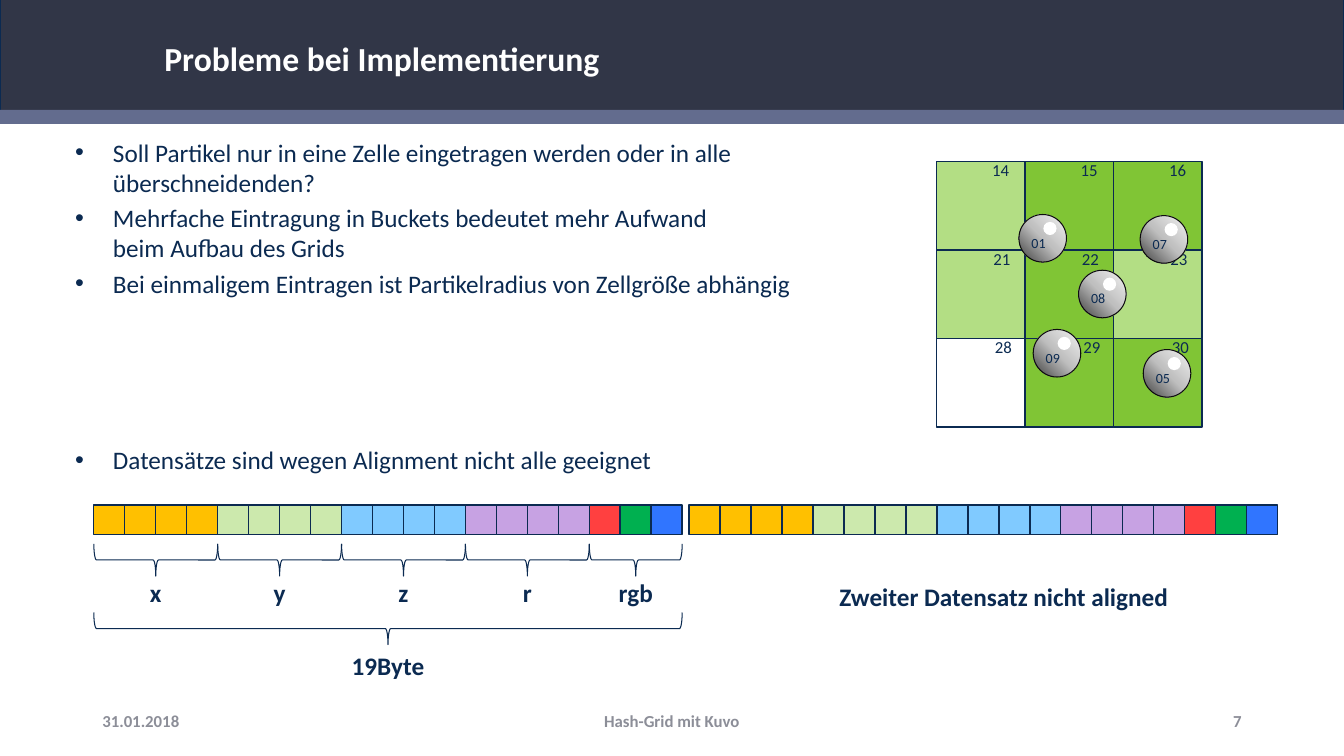
from dataclasses import dataclass

from lxml.etree import SubElement
from pptx import Presentation
from pptx.dml.color import RGBColor
from pptx.enum.shapes import MSO_SHAPE
from pptx.enum.text import MSO_ANCHOR, PP_ALIGN
from pptx.oxml import parse_xml
from pptx.oxml.ns import nsdecls, qn
from pptx.util import Pt


@dataclass(frozen=True)
class Theme:
    """Colours, font and type sizes of the slide."""
    font: str = "Calibri"
    navy: str = "0B2A51"
    header: str = "313647"
    stripe: str = "636C8E"
    white: str = "FFFFFF"
    grey: str = "8C8E98"
    rim: str = "0D0D0D"
    light_green: str = "B3DE84"
    green: str = "80C535"
    title_size: int = 24
    body_size: int = 18
    small_size: int = 12
    particle_size: int = 10


THEME = Theme()
BYTE_WIDTH, BYTE_HEIGHT, BYTE_TOP = 22.12, 21, 360.7
RECORD_LEFTS = (67, 492.3)
FIELDS = (
    ("x", ("FFC000",) * 4),
    ("y", ("CCE9AD",) * 4),
    ("z", ("80CAFF",) * 4),
    ("r", ("C7A2E3",) * 4),
    ("rgb", ("FF4040", "00B050", "3075FF")),
)
GRID_LEFT, GRID_TOP, CELL = 669, 115.3, 63.2
GRID = (
    ((14, THEME.light_green), (15, THEME.green), (16, THEME.green)),
    ((21, THEME.light_green), (22, THEME.green), (23, THEME.light_green)),
    ((28, None), (29, THEME.green), (30, THEME.green)),
)
PARTICLES = (
    ("08", 770.4, 193),
    ("07", 814.4, 154),
    ("01", 727.8, 153.2),
    ("09", 738, 235.3),
    ("05", 816.6, 249.7),
)
BULLETS = (
    (("Soll Partikel nur in eine Zelle eingetragen werden oder in alle ",
      "überschneidenden?"), 3.6),
    (("Mehrfache Eintragung in Buckets bedeutet mehr Aufwand",
      "beim Aufbau des Grids"), 3.6),
    (("Bei einmaligem Eintragen ist Partikelradius von Zellgröße abhängig",), 3.6),
    (("Datensätze sind wegen Alignment nicht alle geeignet",), 104.4),
)


def add_figure(shapes, preset, left, top, width, height, fill=None, line=None, weight=1):
    """Add a preset shape without shadow."""
    figure = shapes.add_shape(preset, Pt(left), Pt(top), Pt(width), Pt(height))
    figure.shadow.inherit = False
    if fill:
        figure.fill.solid()
        figure.fill.fore_color.rgb = RGBColor.from_string(fill)
    else:
        figure.fill.background()
    if line:
        figure.line.color.rgb = RGBColor.from_string(line)
        figure.line.width = Pt(weight)
    else:
        figure.line.fill.background()
    return figure


def add_run(paragraph, text, size, color=THEME.navy, bold=False):
    """Append one formatted run."""
    run = paragraph.add_run()
    run.text = text
    run.font.name = THEME.font
    run.font.size = Pt(size)
    run.font.bold = bold
    run.font.color.rgb = RGBColor.from_string(color)


def add_label(shapes, text, center, top, width, size, bold=False):
    """Add a one-line label centred on a horizontal position."""
    label = shapes.add_textbox(Pt(center - width / 2), Pt(top), Pt(width), Pt(size * 1.22 + 7.2))
    label.text_frame.word_wrap = False
    paragraph = label.text_frame.paragraphs[0]
    paragraph.alignment = PP_ALIGN.CENTER
    add_run(paragraph, text, size, bold=bold)


def add_header(slide):
    """Draw the header bands and set the title above them."""
    add_figure(slide.shapes, MSO_SHAPE.RECTANGLE, 0, 0, 960, 83, THEME.header, THEME.navy, 0.75)
    add_figure(slide.shapes, MSO_SHAPE.RECTANGLE, 0, 78.5, 960, 10, THEME.stripe)
    title = slide.shapes.title
    slide.shapes._spTree.append(title._element)
    title.left, title.top, title.width, title.height = Pt(117.4), Pt(26), Pt(793.5), Pt(30.3)
    frame = title.text_frame
    frame.margin_left, frame.margin_right = Pt(0), Pt(7.2)
    frame.margin_top = frame.margin_bottom = Pt(3.6)
    frame.vertical_anchor = MSO_ANCHOR.MIDDLE
    paragraph = frame.paragraphs[0]
    paragraph.alignment = PP_ALIGN.LEFT
    add_run(paragraph, "Probleme bei Implementierung", THEME.title_size, THEME.white, True)


def add_bullets(slide):
    """Write the bulleted statements."""
    body = slide.shapes.add_textbox(Pt(53.7), Pt(94.3), Pt(600), Pt(260))
    frame = body.text_frame
    frame.word_wrap = True
    frame.margin_left = Pt(0)
    for index, (lines, gap) in enumerate(BULLETS):
        paragraph = frame.add_paragraph() if index else frame.paragraphs[0]
        paragraph.space_before = Pt(gap)
        properties = paragraph._p.get_or_add_pPr()
        properties.set("marL", str(Pt(27)))
        properties.set("indent", str(Pt(-27)))
        SubElement(properties, qn("a:buFont")).set("typeface", "Arial")
        SubElement(properties, qn("a:buChar")).set("char", "•")
        for number, line in enumerate(lines):
            if number:
                paragraph.add_line_break()
            add_run(paragraph, line, THEME.body_size)


def add_record(slide, left):
    """Draw the bytes of one record."""
    colors = [color for _, field in FIELDS for color in field]
    for index, color in enumerate(colors):
        add_figure(slide.shapes, MSO_SHAPE.RECTANGLE, left + index * BYTE_WIDTH, BYTE_TOP,
                   BYTE_WIDTH, BYTE_HEIGHT, color, THEME.navy)


def add_brace(slide, text, left, length, middle, label_top):
    """Draw a downward brace with its label."""
    depth, center = 23, left + length / 2
    brace = add_figure(slide.shapes, MSO_SHAPE.RIGHT_BRACE, center - depth / 2,
                       middle - length / 2, depth, length, None, THEME.navy, 0.75)
    brace.rotation = 90
    add_label(slide.shapes, text, center, label_top, 70, THEME.body_size, True)


def add_record_braces(slide):
    """Mark the fields and the size of the first record."""
    start = left = RECORD_LEFTS[0]
    for name, colors in FIELDS:
        length = len(colors) * BYTE_WIDTH
        add_brace(slide, name, left, length, 400, 409)
        left += length
    add_brace(slide, "19Byte", start, left - start, 449, 460.8)


def add_grid(slide):
    """Draw the cells first and their numbers above them."""
    cells = [(GRID_LEFT + column * CELL, GRID_TOP + row * CELL, row, number, color)
             for row, line in enumerate(GRID) for column, (number, color) in enumerate(line)]
    for left, top, _, _, color in cells:
        add_figure(slide.shapes, MSO_SHAPE.RECTANGLE, left, top, CELL, CELL, color, THEME.navy)
    for left, top, row, number, _ in cells:
        add_label(slide.shapes, str(number), left + 45.7 + row, top - 4.5, 32, THEME.small_size)


def add_particle(slide, number, left, top):
    """Draw a shaded ball with highlight and number."""
    shapes = slide.shapes.add_group_shape().shapes
    ball = add_figure(shapes, MSO_SHAPE.OVAL, left, top, 34, 34, None, THEME.rim, 0.75)
    stops = "".join(f'<a:gs pos="{place}"><a:srgbClr val="{color}"/></a:gs>' for place, color
                    in ((0, "404040"), (50000, "BFBFBF"), (100000, "F2F2F2")))
    shading = parse_xml(
        f'<a:gradFill {nsdecls("a")} rotWithShape="1"><a:gsLst>{stops}</a:gsLst>'
        '<a:path path="circle"><a:fillToRect t="100000" r="100000"/></a:path></a:gradFill>')
    properties = ball._element.spPr
    properties.replace(properties.find(qn("a:noFill")), shading)
    add_figure(shapes, MSO_SHAPE.OVAL, left + 17.5, top + 5.3, 9.4, 9.4, THEME.white)
    add_label(shapes, number, left + 14, top + 10.5, 29, THEME.particle_size)


def add_footer(slide, text, left, width, alignment):
    """Write one part of the footer."""
    footer = slide.shapes.add_textbox(Pt(left), Pt(500.6), Pt(width), Pt(28.8))
    footer.text_frame.word_wrap = True
    footer.text_frame.vertical_anchor = MSO_ANCHOR.MIDDLE
    paragraph = footer.text_frame.paragraphs[0]
    paragraph.alignment = alignment
    add_run(paragraph, text, THEME.small_size, THEME.grey, True)


def main():
    """Build the slide and save it."""
    presentation = Presentation()
    presentation.slide_width, presentation.slide_height = Pt(960), Pt(540)
    slide = presentation.slides.add_slide(presentation.slide_layouts[5])
    add_header(slide)
    add_bullets(slide)
    for left in RECORD_LEFTS:
        add_record(slide, left)
    add_record_braces(slide)
    add_label(slide.shapes, "Zweiter Datensatz nicht aligned", 717, 411.8, 251,
              THEME.body_size, True)
    add_grid(slide)
    for number, left, top in PARTICLES:
        add_particle(slide, number, left, top)
    add_footer(slide, "31.01.2018", 66, 216, PP_ALIGN.LEFT)
    add_footer(slide, "Hash-Grid mit Kuvo", 318, 324, PP_ALIGN.CENTER)
    add_footer(slide, "7", 678, 216, PP_ALIGN.RIGHT)
    presentation.save("out.pptx")


if __name__ == "__main__":
    main()
